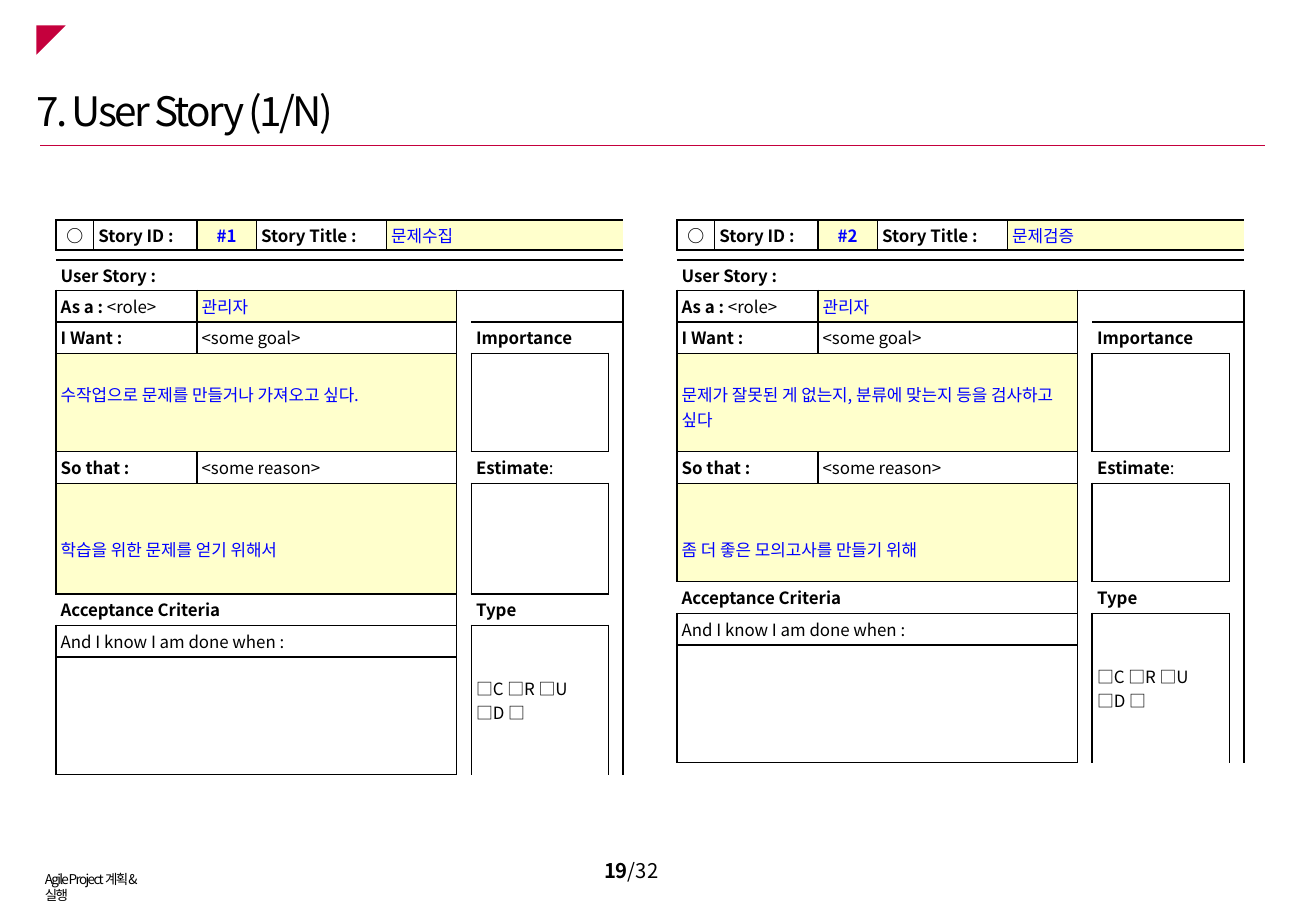
from lxml import etree
from pptx import Presentation
from pptx.dml.color import RGBColor
from pptx.enum.shapes import MSO_CONNECTOR, MSO_SHAPE
from pptx.enum.text import MSO_ANCHOR, PP_ALIGN
from pptx.oxml.ns import qn
from pptx.util import Inches, Pt

LEFT, MID = PP_ALIGN.LEFT, PP_ALIGN.CENTER
TOP, HALF = MSO_ANCHOR.TOP, MSO_ANCHOR.MIDDLE

# Content
TITLE = "7. User Story (1/N)"
FOOT = "Agile Project 계획&실행"
PAGE = [("19", True), ("/32", False)]
STORIES = [
    dict(left=0.46, deep=0.65, id="#1", name="문제수집", role="관리자",
         goal="수작업으로 문제를 만들거나 가져오고 싶다.",
         why="학습을 위한 문제를 얻기 위해서"),
    dict(left=5.57, deep=0.55, id="#2", name="문제검증", role="관리자",
         goal="문제가 잘못된 게 없는지, 분류에 맞는지 등을 검사하고 싶다",
         why="좀 더 좋은 모의고사를 만들기 위해"),
]

# Labels: row, column, rows spanned, columns spanned, border sides, lines of runs
LABELS = [
    (0, 0, 1, 1, "LRTB", [[("○", True)]]),
    (0, 1, 1, 1, "LRTB", [[("Story ID :", True)]]),
    (0, 3, 1, 1, "LRTB", [[("Story Title :", True)]]),
    (1, 0, 1, 8, "T", []),
    (2, 0, 1, 2, "B", [[("User Story :", True)]]),
    (2, 2, 1, 6, "B", []),
    (3, 0, 1, 2, "LRTB", [[("As a : ", True), ("<role>", False)]]),
    (3, 5, 10, 1, "LTB", []),
    (3, 6, 1, 1, "T", []),
    (3, 7, 1, 1, "TR", []),
    (4, 0, 1, 2, "LRTB", [[("I Want :", True)]]),
    (4, 2, 1, 3, "LRTB", [[("<some goal>", False)]]),
    (4, 6, 1, 1, "B", [[("Importance", True)]]),
    (5, 6, 2, 1, "LRTB", []),
    (7, 0, 1, 2, "LRTB", [[("So that :", True)]]),
    (7, 2, 1, 3, "LRTB", [[("<some reason>", False)]]),
    (7, 6, 1, 1, "TB", [[("Estimate", True), (":", False)]]),
    (8, 6, 2, 1, "LRTB", []),
    (10, 0, 1, 5, "TB", [[("Acceptance Criteria", True)]]),
    (10, 6, 1, 1, "TB", [[("Type", True)]]),
    (11, 0, 1, 5, "LRTB", [[("And I know I am done when :", False)]]),
    (11, 6, 2, 1, "LRTB", [[("□C □R □U", False)], [("□D □", False)]]),
    (12, 0, 1, 5, "LRTB", []),
] + [(row, 7, 1, 1, "R", []) for row in range(4, 13)]

# Answers: key, row, column, rows spanned, columns spanned, bold, lines of drop
FIELDS = [
    ("id", 0, 2, 1, 1, True, 0),
    ("name", 0, 4, 1, 4, False, 0),
    ("role", 3, 2, 1, 3, False, 0),
    ("goal", 5, 0, 2, 5, False, 1),
    ("why", 8, 0, 2, 5, False, 2),
]

# Theme and grid, in inches and points
THEME = dict(font="Noto Sans CJK KR", ink="000000", red="C5003D", blue="0000FF",
             pale="FFFFCC", white="FFFFFF", head=24, page=12, body=10, foot=8)
WIDE, HIGH = 10.83, 7.5
CARD_TOP, PAD, THIN, STEP = 1.81, 0.04, 0.02, 0.2
COLS = [0.31, 0.85, 0.49, 1.07, 0.58, 0.11, 1.13, 0.11]
ROWS = [0.25, 0.08, 0.25] + [0.26] * 3 + [0.55] + [0.26] * 5 + [0.97]
DEEP = 9


def tint(name):
    return RGBColor.from_string(THEME[name])


def add_run(para, text, size, bold=False, ink="ink", gap=0):
    run = para.add_run()
    run.text = text
    font = run.font
    font.size, font.bold, font.name = Pt(size), bold, THEME["font"]
    font.color.rgb = tint(ink)
    props = run._r.get_or_add_rPr()
    etree.SubElement(props, qn("a:ea"), typeface=THEME["font"])
    if gap:
        props.set("spc", str(int(gap * 100)))


def set_box(shape, box, anchor=TOP, align=LEFT):
    shape.left, shape.top, shape.width, shape.height = map(Inches, box)
    frame = shape.text_frame
    frame.word_wrap, frame.vertical_anchor = True, anchor
    frame.margin_left = frame.margin_right = Inches(0.1)
    frame.margin_top = frame.margin_bottom = Inches(0.05)
    para = frame.paragraphs[0]
    para.alignment = align
    return para


def add_edge(cell, side):
    line = etree.SubElement(cell._tc.get_or_add_tcPr(), qn("a:ln" + side),
                            w=str(Pt(1)))
    fill = etree.SubElement(line, qn("a:solidFill"))
    etree.SubElement(fill, qn("a:srgbClr"), val=THEME["ink"])


def fill_cell(grid, row, col, tall, wide, sides, lines,
              ink="ink", fill="white", drop=0):
    last, end = row + tall - 1, col + wide - 1
    for y in range(row, last + 1):
        for x in range(col, end + 1):
            cell = grid.cell(y, x)
            edges = dict(L=x == col, R=x == end, T=y == row, B=y == last)
            for side in "LRTB":
                if side in sides and edges[side]:
                    add_edge(cell, side)
            cell.fill.solid()
            cell.fill.fore_color.rgb = tint(fill)
    cell = grid.cell(row, col)
    if tall * wide > 1:
        cell.merge(grid.cell(last, end))
    cell.vertical_anchor = TOP if drop else HALF
    if drop:
        cell.margin_top = Inches(PAD + drop * STEP)
    frame = cell.text_frame
    for i, runs in enumerate(lines):
        para = frame.add_paragraph() if i else frame.paragraphs[0]
        para.alignment = MID if row == 0 and col in (0, 2) else LEFT
        for text, bold in runs:
            add_run(para, text, THEME["body"], bold, ink)


def add_card(slide, story):
    rows = ROWS.copy()
    rows[DEEP] = story["deep"]
    frame = slide.shapes.add_table(
        len(rows), len(COLS), Inches(story["left"]), Inches(CARD_TOP),
        Inches(sum(COLS)), Inches(sum(rows)))
    grid = frame.table
    grid.first_row = grid.horz_banding = False
    # Plain table style without lines
    grid._tbl.tblPr.find(qn("a:tableStyleId")).text = (
        "{2D5ABB26-0587-4C30-8999-92F81FD0307C}")
    for col, size in zip(grid.columns, COLS):
        col.width = Inches(size)
    for row, size in zip(grid.rows, rows):
        row.height = Inches(size)
    for cell in grid.iter_cells():
        cell.margin_left = cell.margin_right = Inches(PAD)
        cell.margin_top = cell.margin_bottom = Inches(THIN)
    for label in LABELS:
        fill_cell(grid, *label)
    for key, row, col, tall, wide, bold, drop in FIELDS:
        fill_cell(grid, row, col, tall, wide, "LRTB", [[(story[key], bold)]],
                  "blue", "pale", drop)
    # Empty cells must not stretch their rows
    for cell in grid.iter_cells():
        if not cell.text_frame.text:
            para = cell.text_frame.paragraphs[0]
            etree.SubElement(para._p, qn("a:endParaRPr"), sz="100")


def main():
    deck = Presentation()
    deck.slide_width, deck.slide_height = Inches(WIDE), Inches(HIGH)
    slide = deck.slides.add_slide(deck.slide_layouts[5])
    shapes = slide.shapes

    # Title, corner mark and rule
    para = set_box(shapes.title, (0.2, 0.66, 5.05, 0.5))
    add_run(para, TITLE, THEME["head"], gap=-1.5)
    mark = shapes.add_shape(MSO_SHAPE.ISOSCELES_TRIANGLE, Inches(0.3),
                            Inches(0.21), Inches(0.24), Inches(0.24))
    mark.adjustments[0], mark.rotation = 1, 180
    mark.shadow.inherit = False
    mark.fill.solid()
    mark.fill.fore_color.rgb = tint("red")
    mark.line.fill.background()
    rule = shapes.add_connector(MSO_CONNECTOR.STRAIGHT, Inches(0.33),
                                Inches(1.2), Inches(10.41), Inches(1.2))
    rule.line.color.rgb, rule.line.width = tint("red"), Pt(0.75)
    etree.SubElement(rule._element.spPr, qn("a:effectLst"))

    # Story cards
    for story in STORIES:
        add_card(slide, story)

    # Footer and page number
    para = set_box(shapes.add_textbox(0, 0, 0, 0), (0.27, 7.12, 1.12, 0.24))
    add_run(para, FOOT, THEME["foot"], gap=-1)
    para = set_box(shapes.add_textbox(0, 0, 0, 0), (4.58, 6.98, 1.23, 0.37),
                   HALF, MID)
    for text, bold in PAGE:
        add_run(para, text, THEME["page"], bold)

    deck.save("out.pptx")


if __name__ == "__main__":
    main()
